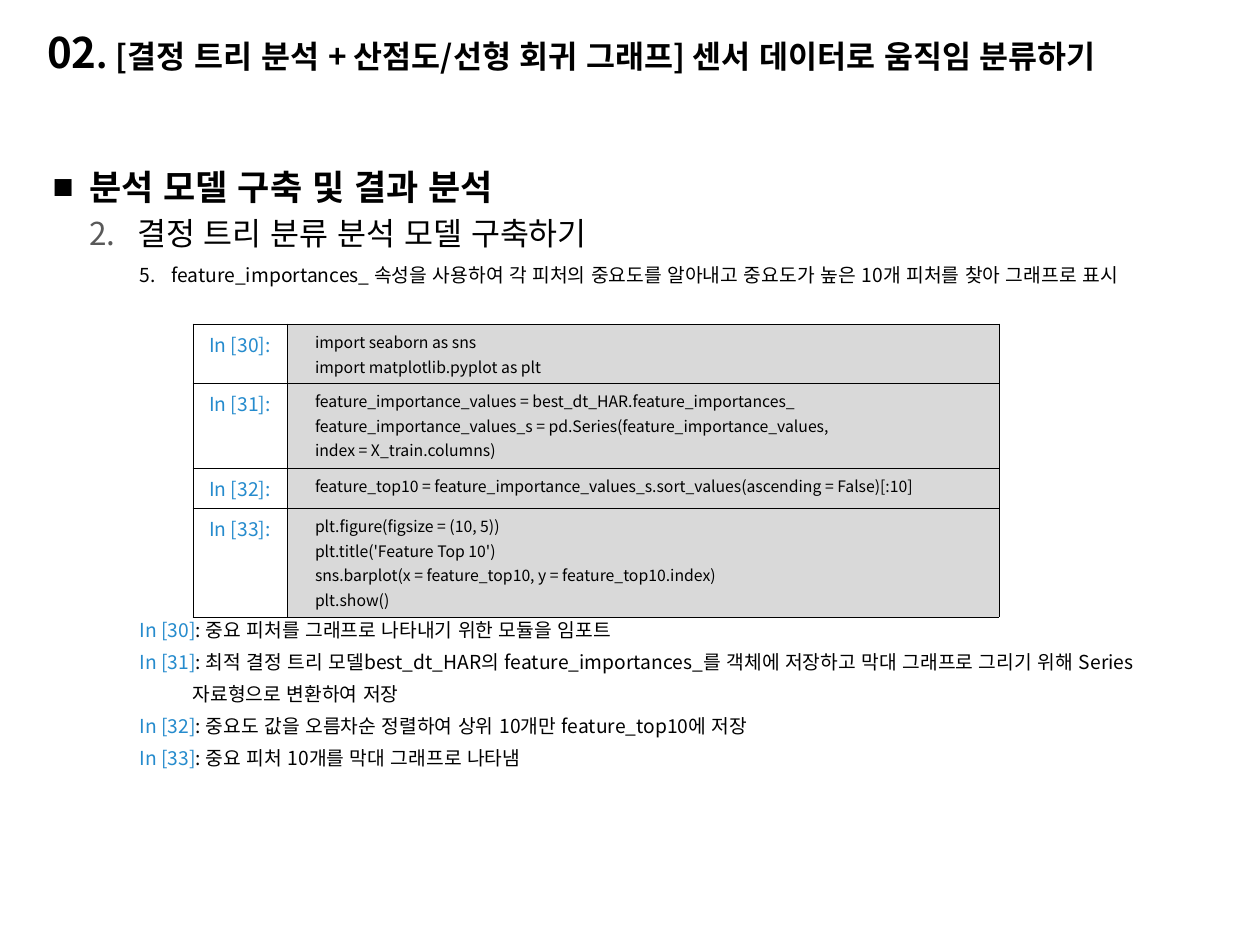
from lxml.etree import SubElement
from pptx import Presentation
from pptx.dml.color import RGBColor
from pptx.enum.lang import MSO_LANGUAGE_ID
from pptx.enum.text import MSO_ANCHOR, PP_ALIGN
from pptx.oxml.ns import qn
from pptx.util import Inches, Pt

BLACK = RGBColor(0x00, 0x00, 0x00)
WHITE = RGBColor(0xFF, 0xFF, 0xFF)
GRAY = RGBColor(0x59, 0x59, 0x59)
SILVER = RGBColor(0xD9, 0xD9, 0xD9)
BLUE = RGBColor(0x25, 0x8B, 0xCD)

FONT = "Noto Sans CJK KR"
COLS, ROWS = 100, 75

TITLE = [("02", 24), (". ", 20),
         ("[결정 트리 분석 + 산점도/선형 회귀 그래프] 센서 데이터로 움직임 분류하기", 18)]

CODE = [
    (30, 4.7, ["import seaborn as sns",
               "import matplotlib.pyplot as plt"]),
    (31, 6.75, ["feature_importance_values = best_dt_HAR.feature_importances_",
                "feature_importance_values_s = pd.Series(feature_importance_values,",
                "index = X_train.columns)"]),
    (32, 3.17, ["feature_top10 = feature_importance_values_s"
                ".sort_values(ascending = False)[:10]"]),
    (33, 8.65, ["plt.figure(figsize = (10, 5))",
                "plt.title('Feature Top 10')",
                "sns.barplot(x = feature_top10, y = feature_top10.index)",
                "plt.show()"]),
]

NOTES = [
    ("In [30]", ": 중요 피처를 그래프로 나타내기 위한 모듈을 임포트"),
    ("In [31]", ": 최적 결정 트리 모델best_dt_HAR의 feature_importances_를 "
                "객체에 저장하고 막대 그래프로 그리기 위해 Series"),
    ("", "자료형으로 변환하여 저장"),
    ("In [32]", ": 중요도 값을 오름차순 정렬하여 상위 10개만 feature_top10에 저장"),
    ("In [33]", ": 중요 피처 10개를 막대 그래프로 나타냄"),
]


class Deck:
    """Holds the text style, the grid and the current slide."""

    def __init__(self):
        self.prs = Presentation()
        self.prs.slide_width, self.prs.slide_height = Inches(10), Inches(7.5)
        self.slide = self.prs.slides.add_slide(self.prs.slide_layouts[6])

    def x(self, cols):
        return round(self.prs.slide_width * cols / COLS)

    def y(self, rows):
        return round(self.prs.slide_height * rows / ROWS)

    def box(self, left, top, width, height, anchor=MSO_ANCHOR.TOP):
        shape = self.slide.shapes.add_textbox(
            self.x(left), self.y(top), self.x(width), self.y(height))
        frame = shape.text_frame
        frame.word_wrap = True
        frame.vertical_anchor = anchor
        return frame

    def run(self, para, text, size, color=BLACK, bold=False, face=FONT):
        run = para.add_run()
        run.text = text
        font = run.font
        font.size, font.bold, font.name = Pt(size), bold, face
        font.color.rgb = color
        font.language_id = MSO_LANGUAGE_ID.KOREAN
        font._element.set("kern", "0")
        SubElement(font._element, qn("a:ea"), typeface=FONT)

    def para(self, frame, first, left=0, hang=0, before=0, after=0):
        """Start a paragraph with its indent in columns and gaps in points."""
        para = frame.paragraphs[0] if first else frame.add_paragraph()
        props = para._p.get_or_add_pPr()
        props.set("marL", str(self.x(left)))
        props.set("indent", str(-self.x(hang)))
        para.space_before = Pt(0 if first else before)
        para.space_after = Pt(after)
        return para

    def bullet(self, para, color, char=None, start=1):
        """Add a character bullet, or a number when no character is given."""
        props = para._p.get_or_add_pPr()
        tint = SubElement(props, qn("a:buClr"))
        SubElement(tint, qn("a:srgbClr"), val=str(color))
        SubElement(props, qn("a:buFont"), typeface="Arial" if char else FONT)
        if char:
            SubElement(props, qn("a:buChar"), char=char)
        else:
            SubElement(props, qn("a:buAutoNum"), type="arabicPeriod",
                       startAt=str(start))

    def cell(self, cell, fill):
        cell.fill.solid()
        cell.fill.fore_color.rgb = fill
        props = cell._tc.get_or_add_tcPr()
        for spot, side in enumerate(("lnL", "lnR", "lnT", "lnB")):
            line = props.makeelement(qn(f"a:{side}"), {"w": str(Pt(0.25))})
            paint = SubElement(line, qn("a:solidFill"))
            SubElement(paint, qn("a:srgbClr"), val=str(BLACK))
            props.insert(spot, line)
        return cell.text_frame

    def code(self, left, top, widths, rows):
        """Draw a table of numbered labels beside their lines of code."""
        high = sum(row[1] for row in rows)
        table = self.slide.shapes.add_table(
            len(rows), len(widths), self.x(left), self.y(top),
            self.x(sum(widths)), self.y(high)).table
        table.first_row = table.horz_banding = False
        for col, width in zip(table.columns, widths):
            col.width = self.x(width)
        for i, (num, height, lines) in enumerate(rows):
            table.rows[i].height = self.y(height)
            label = self.para(self.cell(table.cell(i, 0), WHITE), True, after=3)
            label.alignment = PP_ALIGN.CENTER
            self.run(label, f"In [{num}]:", 11, BLUE)
            frame = self.cell(table.cell(i, 1), SILVER)
            for j, line in enumerate(lines):
                para = self.para(frame, j == 0, 1.2, before=0.5, after=0.5)
                self.run(para, line, 9)


def main():
    deck = Deck()

    title = deck.para(deck.box(2.75, 1.1, 93.7, 6, MSO_ANCHOR.MIDDLE), True)
    for text, size in TITLE:
        deck.run(title, text, size, bold=True)

    head = deck.box(3.2, 12, 94.8, 13)
    topic = deck.para(head, True, 2.9, 2.9)
    topic.line_spacing = 1.2
    deck.bullet(topic, BLACK, "■")
    deck.run(topic, "분석 모델 구축 및 결과 분석", 20, bold=True, face="Arial")
    step = deck.para(head, False, 6.7, 3.8, before=3.7, after=3)
    deck.bullet(step, GRAY, start=2)
    deck.run(step, "결정 트리 분류 분석 모델 구축하기", 18)
    task = deck.para(head, False, 9.4, 2.5, before=3.4)
    deck.bullet(task, BLACK, start=5)
    deck.run(task, "feature_importances_ 속성을 사용하여 각 피처의 중요도를 알아내고 "
                   "중요도가 높은 10개 피처를 찾아 그래프로 표시", 11)

    deck.code(15.3, 25.7, (7.5, 56.5), CODE)

    notes = deck.box(3.2, 48.55, 94.8, 14)
    for i, (label, text) in enumerate(NOTES):
        para = deck.para(notes, i == 0, 6.9 if label else 11.1,
                         before=2.7, after=2.4)
        if label:
            deck.run(para, label, 11, BLUE)
        deck.run(para, text, 11)

    deck.prs.save("out.pptx")


if __name__ == "__main__":
    main()
